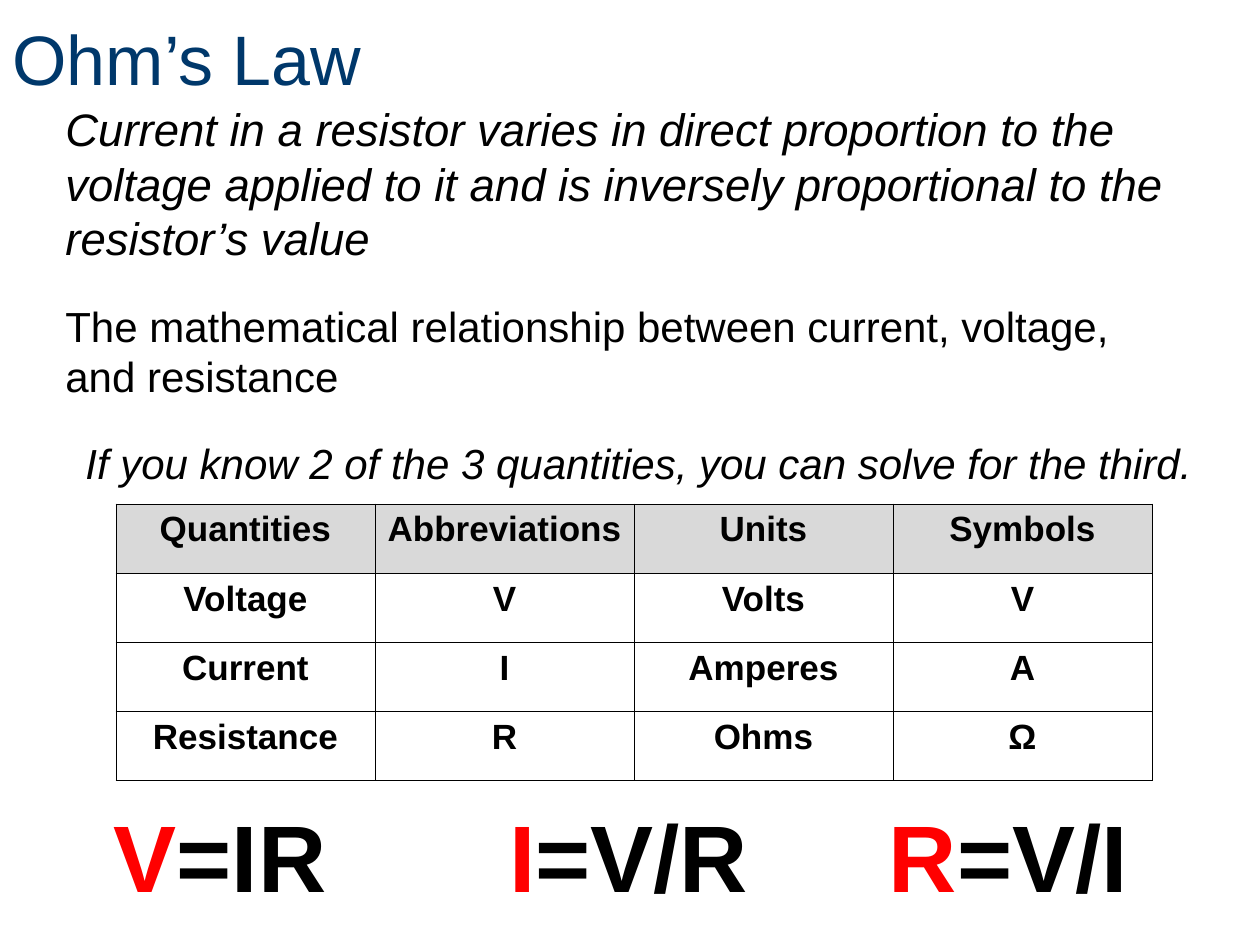
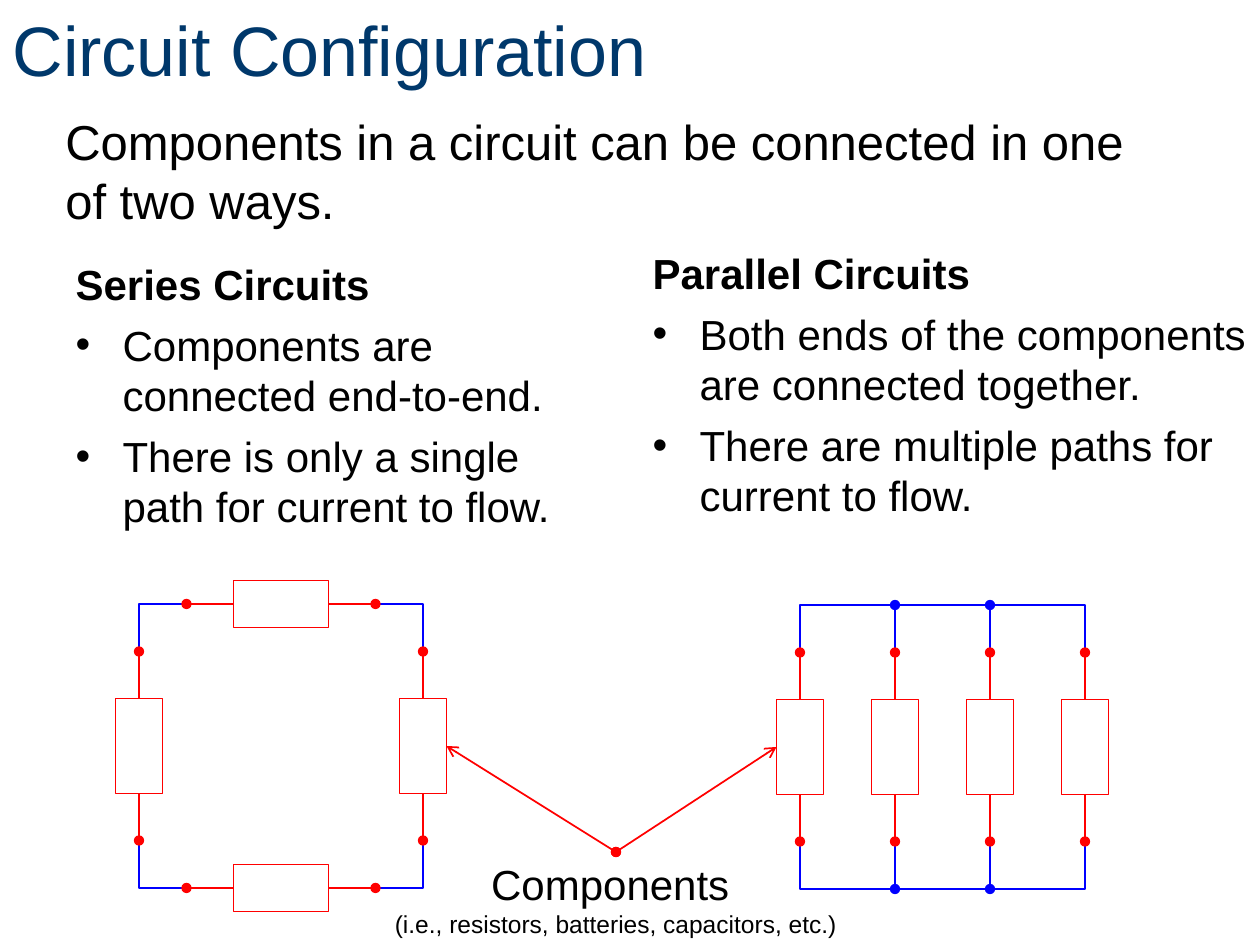
from lxml import etree
from pptx import Presentation
from pptx import util as u
from pptx.dml.color import RGBColor
from pptx.enum import shapes, text
from pptx.oxml import ns

EMU_PER_PX = 914400 / 126
FONT = "Arial"
NAVY, BLACK, WHITE, GREY = "00386B", "000000", "FFFFFF", "D9D9D9"
RED, BLUE = "FF0000", "0000FF"
LEAD, BODY_LONG, BODY_SHORT = 189, 95, 47  # component dimensions


def px(n):
    return u.Emu(round(n * EMU_PER_PX))


def color(hex_text):
    return RGBColor.from_string(hex_text)


def sub(parent, tag, **attrs):
    el = etree.SubElement(parent, ns.qn(tag))
    for name, value in attrs.items():
        el.set(name, str(value))
    return el


def style(p, size, hex_text=BLACK, bold=False, italic=False):
    for r in p.runs:
        f = r.font
        f.name, f.size, f.bold, f.italic = FONT, u.Pt(size), bold, italic
        f.color.rgb = color(hex_text)


def place(sp, x, y, w, h):
    sp.left, sp.top, sp.width, sp.height = px(x), px(y), px(w), px(h)


# Text elements
def add_title(s, words, w, h):
    sp = s.shapes.title
    place(sp, 0, 0, w, h)
    tf = sp.text_frame
    tf.text = words
    tf.auto_size = text.MSO_AUTO_SIZE.NONE
    tf.vertical_anchor = text.MSO_ANCHOR.MIDDLE
    tf.paragraphs[0].alignment = text.PP_ALIGN.LEFT
    style(tf.paragraphs[0], 40, NAVY)


def add_text(s, box, words, size, italic=False):
    sp = s.shapes.add_textbox(*map(px, box))
    tf = sp.text_frame
    tf.word_wrap = True
    tf.auto_size = text.MSO_AUTO_SIZE.SHAPE_TO_FIT_TEXT
    tf.text = words
    style(tf.paragraphs[0], size, italic=italic)
    return tf


def add_formula(s, box, unknown, rest):
    p = add_text(s, box, unknown, 54).paragraphs[0]
    p.alignment = text.PP_ALIGN.CENTER
    p.add_run().text = rest
    style(p, 54, bold=True)
    p.runs[0].font.color.rgb = color(RED)


def add_list(sp, box, heading, items):
    place(sp, *box)
    tf = sp.text_frame
    tf.text = "\n".join([heading] + items)
    tf.auto_size = text.MSO_AUTO_SIZE.NONE
    for i, p in enumerate(tf.paragraphs):
        p.space_before = u.Pt(6)
        style(p, 24, bold=i == 0)
        pPr = p._p.get_or_add_pPr()
        pPr.set("marL", str(px(47)))
        pPr.set("indent", str(px(-47)))
        if i == 0:
            sub(pPr, "a:buNone")
        else:
            sub(pPr, "a:buFont", typeface=FONT)
            sub(pPr, "a:buChar", char="•")


# Table
def add_borders(cell):
    tcPr = cell._tc.get_or_add_tcPr()
    for side in ("L", "R", "T", "B"):
        ln = sub(tcPr, f"a:ln{side}", w=u.Pt(0.45))
        sub(sub(ln, "a:solidFill"), "a:srgbClr", val=BLACK)


def add_grid(s, box, rows):
    table = s.shapes.add_table(len(rows), len(rows[0]), *map(px, box)).table
    for i, row in enumerate(rows):
        for j, words in enumerate(row):
            cell = table.cell(i, j)
            cell.text = words
            cell.margin_left = cell.margin_right = px(8)
            p = cell.text_frame.paragraphs[0]
            p.alignment = text.PP_ALIGN.CENTER
            style(p, 20, bold=True)
            add_borders(cell)
            cell.fill.solid()
            cell.fill.fore_color.rgb = color(WHITE if i else GREY)


# Circuit elements
def set_line(sp, hex_text):
    sp.line.color.rgb = color(hex_text)
    sp.line.width = u.Pt(1)


def add_line(s, start, end, hex_text, head="oval", tail=None):
    c = s.shapes.add_connector(shapes.MSO_CONNECTOR.STRAIGHT, *map(px, start + end))
    set_line(c, hex_text)
    ln = c.line._get_or_add_ln()
    sub(ln, "a:headEnd", type=head)
    if tail:
        sub(ln, "a:tailEnd", type=tail)
    sub(c._element.spPr, "a:effectLst")
    return c


def add_wire(s, *points):
    points = [(px(x), px(y)) for x, y in points]
    fb = s.shapes.build_freeform(*points[0], scale=1.0)
    fb.add_line_segments(points[1:], close=False)
    sp = fb.convert_to_shape()
    sp.shadow.inherit = False
    sp.fill.background()
    set_line(sp, BLUE)


def add_component(s, cx, cy, vertical=True):
    dx, dy = (0, LEAD / 2) if vertical else (LEAD / 2, 0)
    w, h = (BODY_SHORT, BODY_LONG) if vertical else (BODY_LONG, BODY_SHORT)
    add_line(s, (cx - dx, cy - dy), (cx + dx, cy + dy), RED, tail="oval")
    sp = s.shapes.add_shape(shapes.MSO_SHAPE.RECTANGLE,
                            px(cx - w / 2), px(cy - h / 2), px(w), px(h))
    sp.shadow.inherit = False
    sp.fill.solid()
    sp.fill.fore_color.rgb = color(WHITE)
    set_line(sp, RED)
    return sp


def add_series_circuit(s, cx, cy, half):
    """Draw a square loop and return its right-hand component."""
    for sx in (-1, 1):
        for sy in (-1, 1):
            x, y = cx + sx * half, cy + sy * half
            add_wire(s, (cx + sx * LEAD / 2, y), (x, y), (x, cy + sy * LEAD / 2))
    for side in (-1, 1):
        add_component(s, cx, cy + side * half, vertical=False)
    add_component(s, cx - half, cy)
    return add_component(s, cx + half, cy)


def add_parallel_circuit(s, left, cy, half, gap, count):
    """Draw branches between two rails and return the first component."""
    xs = [left + i * gap for i in range(count)]
    for side in (-1, 1):
        rail, terminal = cy + side * half, cy + side * LEAD / 2
        add_wire(s, (xs[-1], terminal), (xs[-1], rail), (left, rail), (left, terminal))
        for x in xs[1:-1]:
            add_line(s, (x, rail), (x, terminal), BLUE)
    return [add_component(s, x, cy) for x in xs][0]


# Slides
def ohms_law(prs):
    s = prs.slides.add_slide(prs.slide_layouts[5])
    add_title(s, "Ohm’s Law", 494, 116)
    add_text(s, (53, 95, 1176, 176),
             "Current in a resistor varies in direct proportion to the voltage applied "
             "to it and is inversely proportional to the resistor’s value", 26, italic=True)
    add_text(s, (53, 294, 1081, 113),
             "The mathematical relationship between current, voltage, and resistance", 24)
    add_text(s, (73, 431, 1144, 63),
             "If you know 2 of the 3 quantities, you can solve for the third.", 24, italic=True)
    add_grid(s, (116, 504, 1036, 277), [
        ("Quantities", "Abbreviations", "Units", "Symbols"),
        ("Voltage", "V", "Volts", "V"),
        ("Current", "I", "Amperes", "A"),
        ("Resistance", "R", "Ohms", "Ω"),
    ])
    for x, w, unknown, rest in ((92, 256, "V", "=IR"), (491, 276, "I", "=V/R"),
                                (839, 339, "R", "=V/I")):
        add_formula(s, (x, 792, w, 126), unknown, rest)


def circuit_configuration(prs):
    s = prs.slides.add_slide(prs.slide_layouts[3])
    add_title(s, "Circuit Configuration", 1134, 98)
    add_text(s, (53, 105, 1113, 131),
             "Components in a circuit can be connected in one of two ways.", 28)
    add_list(s.placeholders[1], (63, 252, 557, 321), "Series Circuits",
             ["Components are connected end-to-end.",
              "There is only a single path for current to flow."])
    add_list(s.placeholders[2], (640, 241, 620, 321), "Parallel Circuits",
             ["Both ends of the components are connected together.",
              "There are multiple paths for current to flow."])

    series_part = add_series_circuit(s, 281, 746, 142)
    parallel_part = add_parallel_circuit(s, 800, 747, 142, 95, 4)

    # Shared label with an arrow to each circuit
    for part, side in ((series_part, 3), (parallel_part, 1)):
        arrow = add_line(s, (616, 852), (616, 747), RED, tail="arrow")
        arrow.end_connect(part, side)
    tf = add_text(s, (366, 852, 500, 93), "Components ", 24)
    p = tf.add_paragraph()
    p.text = "(i.e., resistors, batteries, capacitors, etc.)"
    style(p, 14)
    for p in tf.paragraphs:
        p.alignment = text.PP_ALIGN.CENTER


def main():
    prs = Presentation()
    prs.slide_width, prs.slide_height = px(1260), px(945)
    ohms_law(prs)
    circuit_configuration(prs)
    prs.save("out.pptx")


if __name__ == "__main__":
    main()
